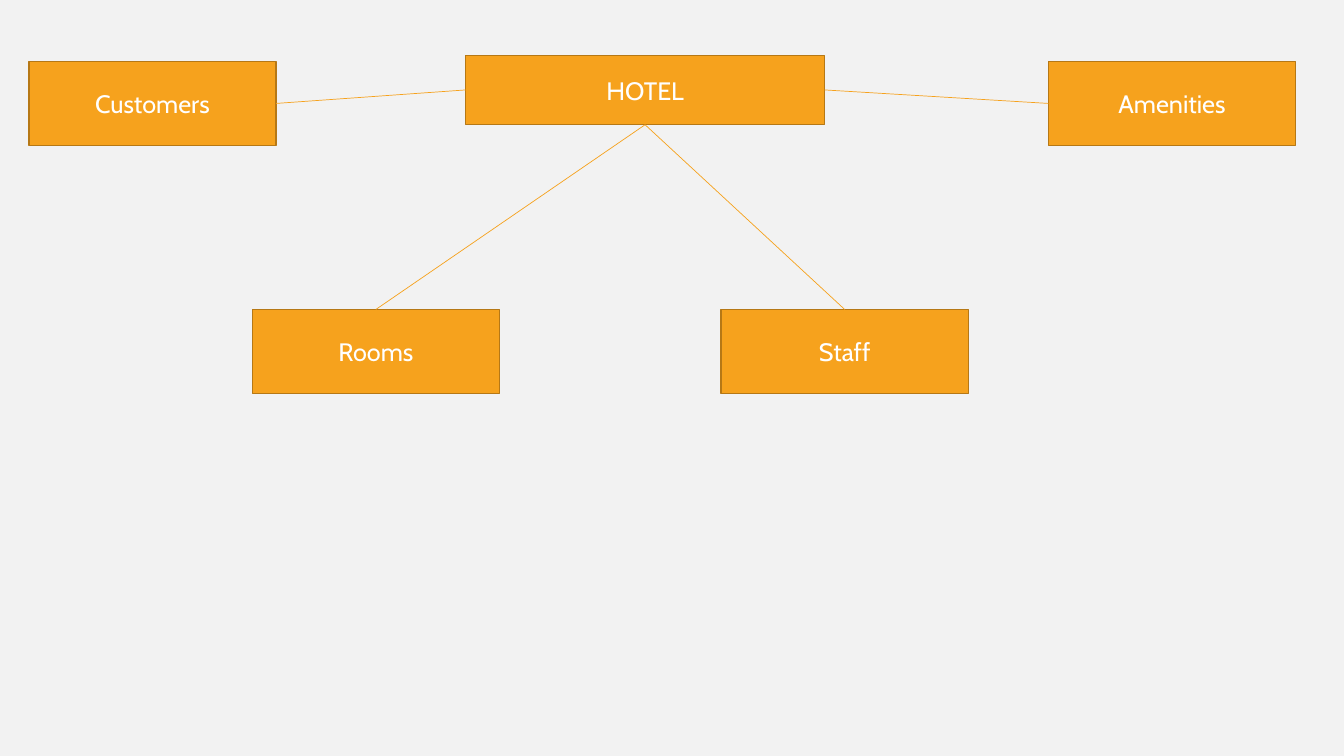
import pptx
import pptx.util
import pptx.dml.color
import pptx.enum.shapes
import pptx.enum.text
import pptx.oxml.ns
import lxml.etree

COLORS = {"background": "F2F2F2", "box": "F6A21D", "border": "B67815", "label": "FFFFFF"}
TOP, LEFT, BOTTOM, RIGHT = range(4)  # connection sites of a rectangle


def rgb(name):
    return pptx.dml.color.RGBColor.from_string(COLORS[name])


deck = pptx.Presentation()
deck.slide_width = pptx.util.Inches(13.33)
deck.slide_height = pptx.util.Inches(7.5)
slide = deck.slides.add_slide(deck.slide_layouts[6])
slide.background.fill.solid()
slide.background.fill.fore_color.rgb = rgb("background")

# Shares of the slide, in percent
column = deck.slide_width / 100
row = deck.slide_height / 100
hotel_size = (26.7, 9.2)
branch_size = (18.4, 11.1)
upper_row, lower_row = 8.13, 40.93

# Boxes: label, left, top, size
boxes = {}
for label, left, top, (width, height) in [
    ("HOTEL", 34.65, 7.3, hotel_size),
    ("Customers", 2.15, upper_row, branch_size),
    ("Rooms", 18.77, lower_row, branch_size),
    ("Staff", 53.65, lower_row, branch_size),
    ("Amenities", 78, upper_row, branch_size),
]:
    box = slide.shapes.add_shape(
        pptx.enum.shapes.MSO_SHAPE.RECTANGLE,
        round(left * column), round(top * row), round(width * column), round(height * row))
    box.shadow.inherit = False
    box.fill.solid()
    box.fill.fore_color.rgb = rgb("box")
    box.line.color.rgb = rgb("border")
    box.line.width = pptx.util.Pt(1)
    box.text_frame.vertical_anchor = pptx.enum.text.MSO_ANCHOR.MIDDLE
    paragraph = box.text_frame.paragraphs[0]
    paragraph.text = label
    paragraph.alignment = pptx.enum.text.PP_ALIGN.CENTER
    paragraph.font.name = "Cabin"
    paragraph.font.size = pptx.util.Pt(18)
    paragraph.font.color.rgb = rgb("label")
    boxes[label] = box

# Links from the hotel to its branches
for branch, hotel_site, branch_site in [
    ("Customers", LEFT, RIGHT),
    ("Amenities", RIGHT, LEFT),
    ("Rooms", BOTTOM, TOP),
    ("Staff", BOTTOM, TOP),
]:
    link = slide.shapes.add_connector(pptx.enum.shapes.MSO_CONNECTOR.STRAIGHT, 0, 0, 0, 0)
    link.begin_connect(boxes["HOTEL"], hotel_site)
    link.end_connect(boxes[branch], branch_site)
    link.line.color.rgb = rgb("box")
    link.line.width = pptx.util.Pt(0.5)
    lxml.etree.SubElement(link._element.spPr, pptx.oxml.ns.qn("a:effectLst"))

deck.save("out.pptx")
